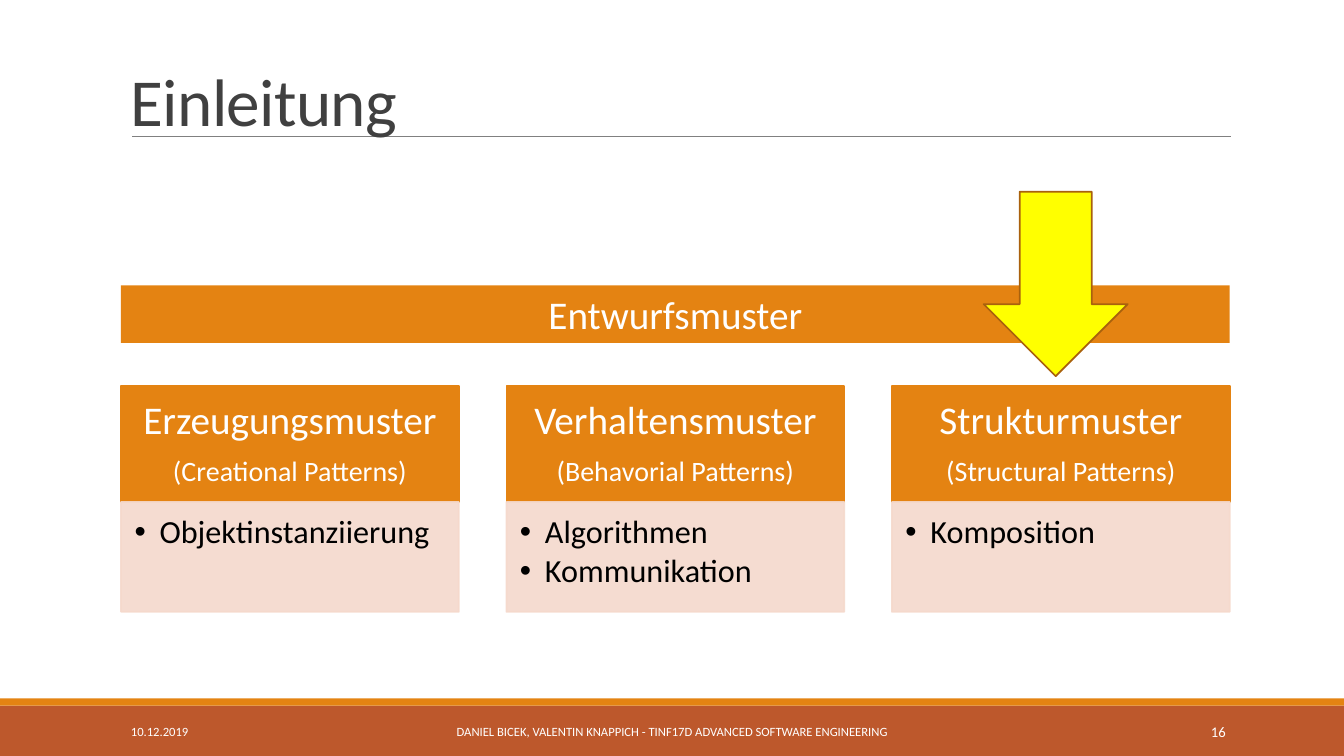
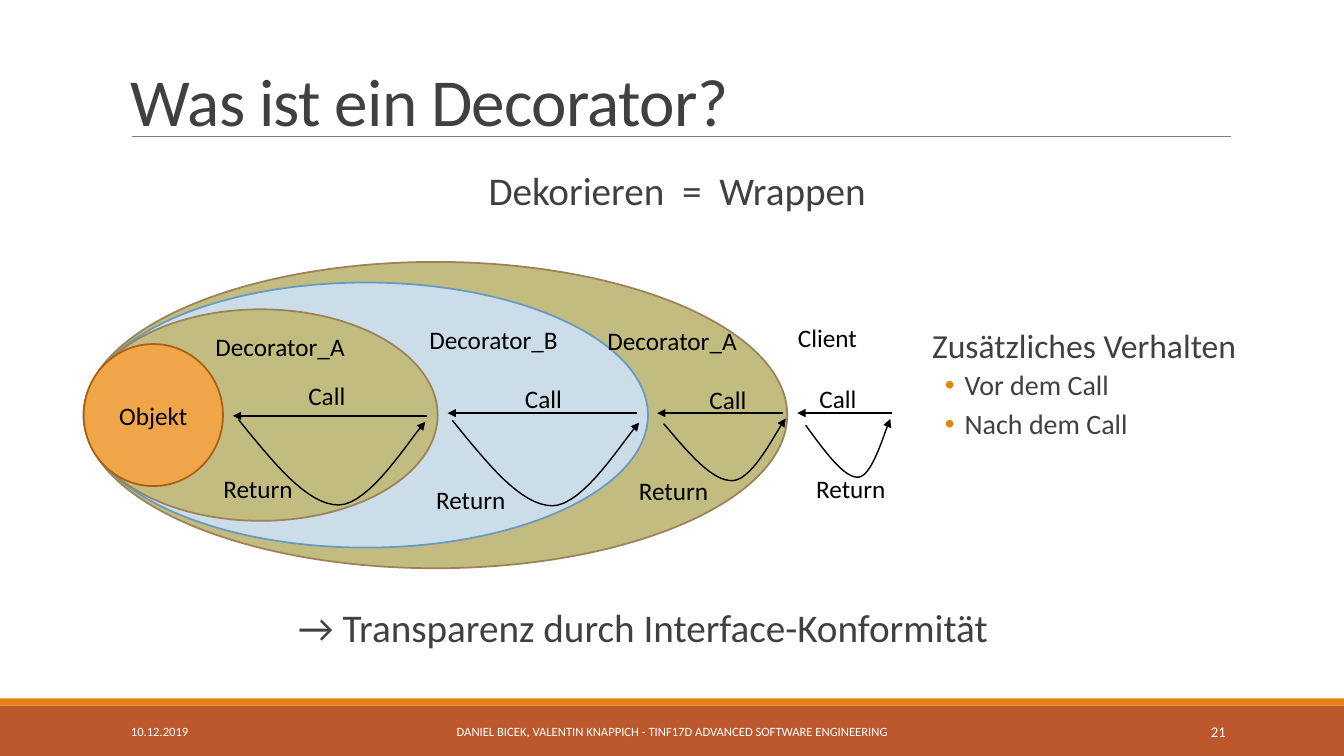
from dataclasses import dataclass

from pptx import Presentation
from pptx.dml.color import RGBColor
from pptx.enum.shapes import MSO_CONNECTOR, MSO_SHAPE
from pptx.enum.text import MSO_ANCHOR as ANCHOR, PP_ALIGN as ALIGN
from pptx.oxml.ns import qn
from pptx.util import Cm, Pt
from lxml.etree import SubElement

FONT = "Calibri"
ORANGE, RUST, YELLOW, AMBER = "E48312", "BD582C", "FFFF00", "F1A549"
BROWN, OLIVE, OLIVE_EDGE = "A9610D", "C2BC80", "9B8357"
SKY, SKY_EDGE, BLUSH = "CCDDEA", "689AC0", "F5D9CC"
INK, GREY, WHITE, BLACK = "404040", "808080", "FFFFFF", "000000"

SLIDE_W, SLIDE_H = 33.87, 19.05
MARGIN, CONTENT_W = 3.05, 27.94
DATE = "10.12.2019"
AUTHORS = "DANIEL BICEK, VALENTIN KNAPPICH - TINF17D ADVANCED SOFTWARE ENGINEERING"
RETURN_CURVE = [
    [(0, 0), (0.17, 0.48), (0.34, 0.98), (0.51, 1)],
    [(0.51, 1), (0.68, 1.02), (0.92, 0.29), (1, 0.14)],
]
CURVE_STEPS = 16


@dataclass
class Line:
    text: str
    size: float
    colour: str = BLACK
    align: ALIGN = ALIGN.LEFT
    spacing: float = 1.0
    before: float = 0
    after: float = 0
    indent: float = 0
    bullet: str = ""
    tracking: int = 0


@dataclass
class Layer:
    name: str
    name_at: tuple
    call_at: tuple
    call_span: tuple
    call_y: float
    return_at: tuple
    curve_box: tuple
    tilt: float


def rgb(code):
    return RGBColor.from_string(code)


def cm(*lengths):
    return [Cm(length) for length in lengths]


def write(shape, lines, anchor=ANCHOR.TOP, insets=(0.25, 0.13, 0.25, 0.13)):
    frame = shape.text_frame
    frame.word_wrap = True
    frame.vertical_anchor = anchor
    (frame.margin_left, frame.margin_top,
     frame.margin_right, frame.margin_bottom) = cm(*insets)
    for index, line in enumerate(lines):
        paragraph = frame.paragraphs[0] if index == 0 else frame.add_paragraph()
        paragraph.text = line.text
        paragraph.alignment = line.align
        paragraph.line_spacing = line.spacing
        paragraph.space_before = Pt(line.before)
        paragraph.space_after = Pt(line.after)
        props = paragraph._p.get_or_add_pPr()
        props.set("marL", str(Cm(line.indent)))
        if line.bullet:
            props.set("indent", str(-Cm(0.5 if line.bullet == ORANGE else 0.63)))
            colour = SubElement(props, qn("a:buClr"))
            SubElement(colour, qn("a:srgbClr")).set("val", line.bullet)
            SubElement(props, qn("a:buFont")).set("typeface", "Arial")
            SubElement(props, qn("a:buChar")).set("char", "•")
        font = paragraph.font
        font.name = FONT
        font.size = Pt(line.size)
        font.color.rgb = rgb(line.colour)
        if line.tracking:
            props.find(qn("a:defRPr")).set("spc", str(line.tracking))


def text_box(slide, box, lines, **layout):
    write(slide.shapes.add_textbox(*cm(*box)), lines, **layout)


def block(slide, box, fill, edge=None, kind=MSO_SHAPE.RECTANGLE, opacity=100):
    shape = slide.shapes.add_shape(kind, *cm(*box))
    shape.shadow.inherit = False
    shape.fill.solid()
    shape.fill.fore_color.rgb = rgb(fill)
    if edge:
        shape.line.color.rgb = rgb(edge)
        shape.line.width = Pt(1.25)
    else:
        shape.line.fill.background()
    if opacity < 100:
        for colour in shape._element.spPr.iter(qn("a:srgbClr")):
            SubElement(colour, qn("a:alpha")).set("val", str(opacity * 1000))
    return shape


def add_arrowhead(shape):
    SubElement(shape.line._get_or_add_ln(), qn("a:tailEnd")).set("type", "triangle")


def straight(slide, start, end, colour, width):
    line = slide.shapes.add_connector(MSO_CONNECTOR.STRAIGHT, *cm(*start, *end))
    line.line.color.rgb = rgb(colour)
    line.line.width = Pt(width)
    SubElement(line._element.spPr, qn("a:effectLst"))
    return line


def bezier(points, t):
    weights = ((1 - t) ** 3, 3 * t * (1 - t) ** 2, 3 * t * t * (1 - t), t ** 3)
    return tuple(sum(w * p[axis] for w, p in zip(weights, points)) for axis in (0, 1))


def return_arrow(slide, box, tilt):
    left, top, width, height = box
    points = [
        cm(left + x * width, top + y * height)
        for half in RETURN_CURVE
        for x, y in (bezier(half, step / CURVE_STEPS) for step in range(1, CURVE_STEPS + 1))
    ]
    builder = slide.shapes.build_freeform(Cm(left), Cm(top))
    builder.add_line_segments(points, close=False)
    curve = builder.convert_to_shape()
    curve.shadow.inherit = False
    curve.fill.background()
    curve.line.color.rgb = rgb(BLACK)
    curve.line.width = Pt(1)
    add_arrowhead(curve)
    curve.rotation = tilt


def base_slide(deck, title, number):
    slide = deck.slides.add_slide(deck.slide_layouts[6])
    block(slide, (0, 17.78, SLIDE_W, 1.27), RUST)
    block(slide, (0, 17.6, SLIDE_W, 0.18), ORANGE)
    straight(slide, (3.33, 3.43), (31.01, 3.43), GREY, 0.5)
    text_box(slide, (MARGIN, 0, CONTENT_W, 3.66),
             [Line(title, 48, INK, spacing=0.85, tracking=-50)], anchor=ANCHOR.BOTTOM)
    for left, width, text, size, align in (
        (MARGIN, 6.86, DATE, 9, ALIGN.LEFT),
        (10.24, 13.39, AUTHORS, 9, ALIGN.CENTER),
        (27.51, 3.63, number, 10.5, ALIGN.RIGHT),
    ):
        text_box(slide, (left, 17.93, width, 1.02),
                 [Line(text, size, WHITE, align)], anchor=ANCHOR.MIDDLE)
    return slide


def pattern_column(slide, box, german, english, topics):
    left, top, width, height = box
    head_h = 2.92
    head = block(slide, (left, top, width, head_h), ORANGE, ORANGE)
    write(head, [Line(german, 28, WHITE, ALIGN.CENTER, 0.9, after=10),
                 Line(english, 20, WHITE, ALIGN.CENTER, 0.9)],
          anchor=ANCHOR.MIDDLE, insets=(0.3, 0.3, 0.3, 0.3))
    body = block(slide, (left, top + head_h, width, height - head_h),
                 BLUSH, BLUSH, opacity=90)
    write(body, [Line(topic, 23, spacing=0.9, after=3.5, indent=0.63, bullet=BLACK)
                 for topic in topics], insets=(0.34, 0.34, 0.3, 0.3))


def pattern_overview(slide, box):
    left, top, width, height = box
    banner = block(slide, (left, top, width, 1.45), ORANGE)
    write(banner, [Line("Entwurfsmuster", 28, WHITE, ALIGN.CENTER)])
    columns = (
        ("Erzeugungsmuster", "(Creational Patterns)", ["Objektinstanziierung"]),
        ("Verhaltensmuster", "(Behavorial Patterns)", ["Algorithmen", "Kommunikation"]),
        ("Strukturmuster", "(Structural Patterns)", ["Komposition"]),
    )
    gap, offset = 1.2, 2.54
    column_w = (width - gap * (len(columns) - 1)) / len(columns)
    for index, column in enumerate(columns):
        pattern_column(slide, (left + index * (column_w + gap), top + offset,
                               column_w, height - offset), *column)
    block(slide, (left + 21.74, top - 2.36, 3.63, 4.65), YELLOW, BROWN,
          MSO_SHAPE.DOWN_ARROW)


def wrapping_diagram(slide, box):
    left, top, width, height = box
    axis = top + height / 2
    for ring_w, ring_h, fill, edge in (
        (width, height, OLIVE, OLIVE_EDGE),
        (14.22, 6.68, SKY, SKY_EDGE),
        (8.92, 5.33, OLIVE, OLIVE_EDGE),
        (3.51, 3.58, AMBER, BROWN),
    ):
        ring = block(slide, (left, axis - ring_h / 2, ring_w, ring_h), fill, edge,
                     MSO_SHAPE.OVAL)
    write(ring, [Line("Objekt", 18, align=ALIGN.CENTER)], anchor=ANCHOR.MIDDLE)

    layers = (
        Layer("Decorator_A", (3.07, -2.23), (5.41, -1.01), (8.66, 3.76), 0.02,
              (3.27, 1.33), (3.96, -0.02, 4.7, 2.29), -3.2),
        Layer("Decorator_B", (8.46, -2.41), (10.87, -0.93), (13.94, 9.17), -0.05,
              (8.63, 1.61), (9.35, 0, 4.7, 2.29), -3.2),
        Layer("Decorator_A", (12.95, -2.38), (15.52, -0.91), (17.63, 14.45), -0.05,
              (13.74, 1.4), (14.7, 0.03, 3.07, 1.63), -6.7),
        Layer("Client", (17.75, -2.46), (18.29, -0.93), (20.37, 17.98), -0.05,
              (18.21, 1.33), (18.31, 0.06, 2.13, 1.52), -10),
    )
    for layer in layers:
        start, end = layer.call_span
        y = axis + layer.call_y
        add_arrowhead(straight(slide, (left + start, y), (left + end, y), BLACK, 1.5))
        x, y, curve_w, curve_h = layer.curve_box
        return_arrow(slide, (left + x, axis + y, curve_w, curve_h), layer.tilt)
        for text, (x, y) in ((layer.name, layer.name_at), ("Call", layer.call_at),
                             ("Return", layer.return_at)):
            text_box(slide, (left + x, axis + y, 4.83, 0.95), [Line(text, 18)])


def statement(slide, box, text):
    text_box(slide, box, [Line(text, 28, INK, ALIGN.CENTER, 0.8, indent=0.25)],
             insets=(0, 0.13, 0, 0.13))


def extra_behaviour(slide, box):
    points = [Line(text, 20, INK, spacing=0.9, before=2, after=4, indent=1.07,
                   bullet=ORANGE) for text in ("Vor dem Call", "Nach dem Call")]
    heading = Line("Zusätzliches Verhalten", 24, INK, spacing=0.9, after=2, indent=0.25)
    text_box(slide, box, [heading, *points], insets=(0, 0.13, 0, 0.13))


def main():
    deck = Presentation()
    deck.slide_width, deck.slide_height = cm(SLIDE_W, SLIDE_H)

    introduction = base_slide(deck, "Einleitung", "16")
    pattern_overview(introduction, (MARGIN, 7.19, CONTENT_W, 8.23))

    decorator = base_slide(deck, "Was ist ein Decorator?", "21")
    statement(decorator, (2.97, 4.29, CONTENT_W, 1.3), "Dekorieren  =  Wrappen")
    wrapping_diagram(decorator, (2.11, 6.6, 17.73, 7.72))
    statement(decorator, (2.11, 15.29, CONTENT_W, 1.3),
              "→ Transparenz durch Interface-Konformität")
    extra_behaviour(decorator, (23.24, 8.18, 10.24, 4.67))

    deck.save("out.pptx")


if __name__ == "__main__":
    main()
